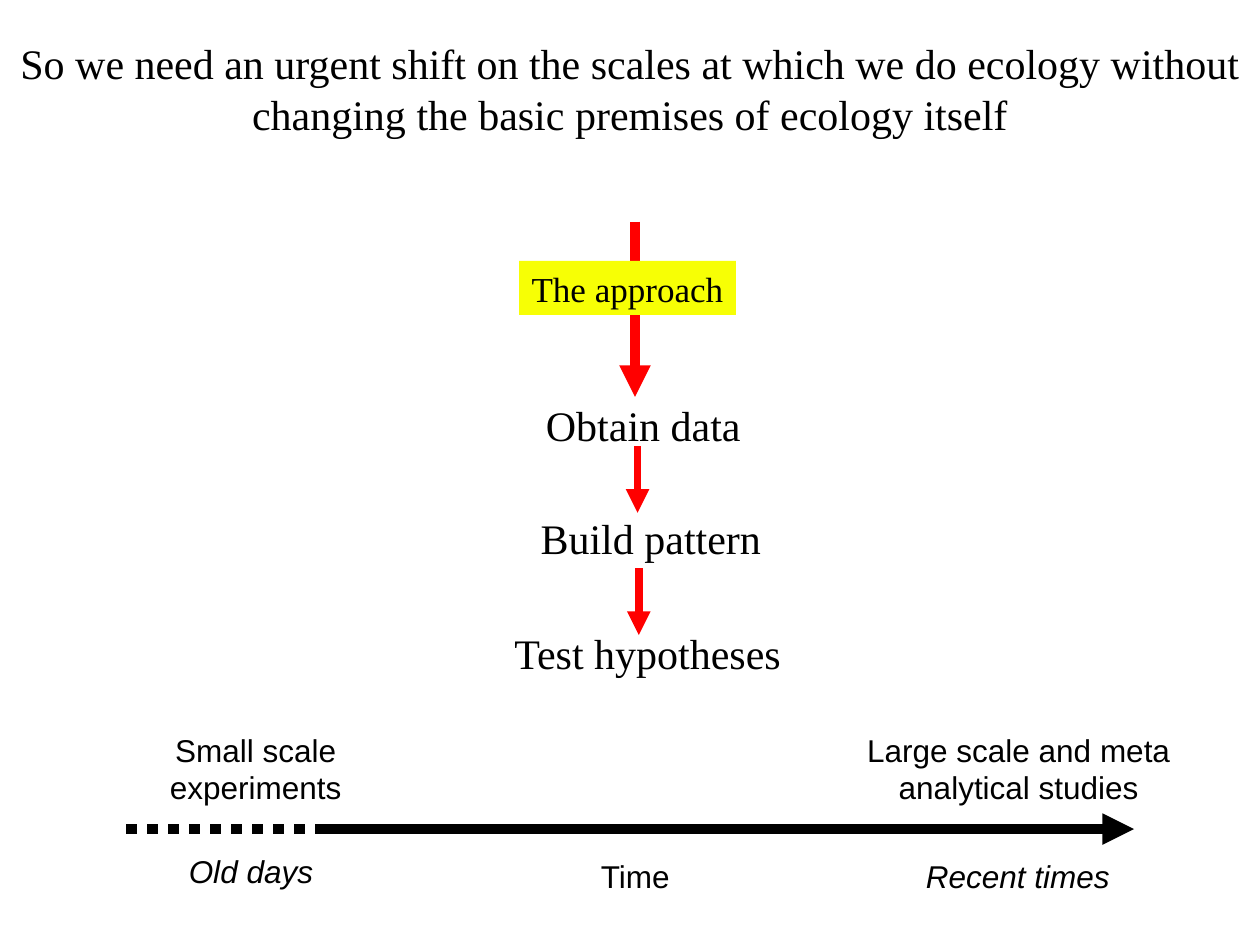
"""Build the slide on shifting the scales of ecology."""
from dataclasses import dataclass

import pptx
import pptx.dml.color
import pptx.enum.dml
import pptx.enum.shapes
import pptx.enum.text
import pptx.oxml.ns
import pptx.util
from lxml import etree

PX = 9144
HUES = {"ink": "000000", "red": "FF0000", "mark": "F7FF05"}
SERIF, SANS = "Times New Roman", "Arial"
MID = pptx.enum.text.PP_ALIGN.CENTER
LEFT = pptx.enum.text.PP_ALIGN.LEFT


@dataclass
class Label:
    text: str
    box: tuple[int, int, int, int]
    size: int
    font: str
    align: pptx.enum.text.PP_ALIGN = MID
    slant: bool = False
    wrap: bool = False
    fill: str = ""


@dataclass
class Line:
    start: tuple[int, int]
    end: tuple[int, int]
    hue: str
    width: float
    head: bool = True
    dots: bool = False


TITLE = Label("So we need an urgent shift on the scales at which we do ecology "
              "without changing the basic premises of ecology itself",
              (0, 25, 1000, 91), 24, SERIF, wrap=True)
LINES = [
    Line((504, 176), (504, 315), "red", 6),
    Line((506, 354), (506, 407), "red", 4.5),
    Line((507, 451), (507, 504), "red", 4.5),
    Line((258, 658), (900, 658), "ink", 6),
    Line((100, 658), (283, 658), "ink", 6, head=False, dots=True),
]
LABELS = [
    Label("The approach", (412, 207, 172, 43), 20, SERIF, fill="mark"),
    Label("Obtain data", (423, 312, 175, 50), 24, SERIF),
    Label("Build pattern", (419, 402, 195, 50), 24, SERIF),
    Label("Test hypotheses", (397, 493, 234, 50), 24, SERIF),
    Label("Small scale\nexperiments", (125, 575, 156, 70), 18, SANS),
    Label("Large scale and meta analytical studies",
          (675, 575, 267, 70), 18, SANS, wrap=True),
    Label("Old days", (140, 671, 119, 40), 18, SANS, LEFT, slant=True),
    Label("Time", (467, 675, 76, 40), 18, SANS, LEFT),
    Label("Recent times", (725, 675, 166, 40), 18, SANS, LEFT, slant=True),
]


def tint(name: str) -> pptx.dml.color.RGBColor:
    """Give the colour of a named hue."""
    return pptx.dml.color.RGBColor.from_string(HUES[name])


def write(shape, label: Label) -> None:
    """Put the words of a label into a shape."""
    frame = shape.text_frame
    frame.text = label.text
    frame.word_wrap = label.wrap
    frame.auto_size = pptx.enum.text.MSO_AUTO_SIZE.NONE
    frame.vertical_anchor = pptx.enum.text.MSO_ANCHOR.TOP
    for para in frame.paragraphs:
        para.alignment = label.align
        para.font.name = label.font
        para.font.size = pptx.util.Pt(label.size)
        para.font.italic = label.slant
        para.font.color.rgb = tint("ink")


def draw_label(slide, label: Label) -> None:
    """Draw a label, on a plain rectangle if it has a fill."""
    box = [n * PX for n in label.box]
    if label.fill:
        kind = pptx.enum.shapes.MSO_SHAPE.RECTANGLE
        shape = slide.shapes.add_shape(kind, *box)
        shape.shadow.inherit = False
        shape.fill.solid()
        shape.fill.fore_color.rgb = tint(label.fill)
        shape.line.fill.background()
    else:
        shape = slide.shapes.add_textbox(*box)
    write(shape, label)


def draw_line(slide, line: Line) -> None:
    """Draw a straight line with its dots or arrowhead."""
    kind = pptx.enum.shapes.MSO_CONNECTOR.STRAIGHT
    ends = [n * PX for n in line.start + line.end]
    wire = slide.shapes.add_connector(kind, *ends)
    wire.line.color.rgb = tint(line.hue)
    wire.line.width = pptx.util.Pt(line.width)
    if line.dots:
        wire.line.dash_style = pptx.enum.dml.MSO_LINE.ROUND_DOT
    qn = pptx.oxml.ns.qn
    props = wire.element.spPr
    if line.head:
        etree.SubElement(props.find(qn("a:ln")), qn("a:tailEnd"), type="triangle")
    etree.SubElement(props, qn("a:effectLst"))


def main() -> None:
    """Build and save the slide."""
    deck = pptx.Presentation()
    deck.slide_width, deck.slide_height = 1000 * PX, 750 * PX
    slide = deck.slides.add_slide(deck.slide_layouts.get_by_name("Title Only"))
    title = slide.shapes.title
    title.left, title.top, title.width, title.height = [n * PX for n in TITLE.box]
    write(title, TITLE)
    for line in LINES:
        draw_line(slide, line)
    for label in LABELS:
        draw_label(slide, label)
    deck.save("out.pptx")


if __name__ == "__main__":
    main()
